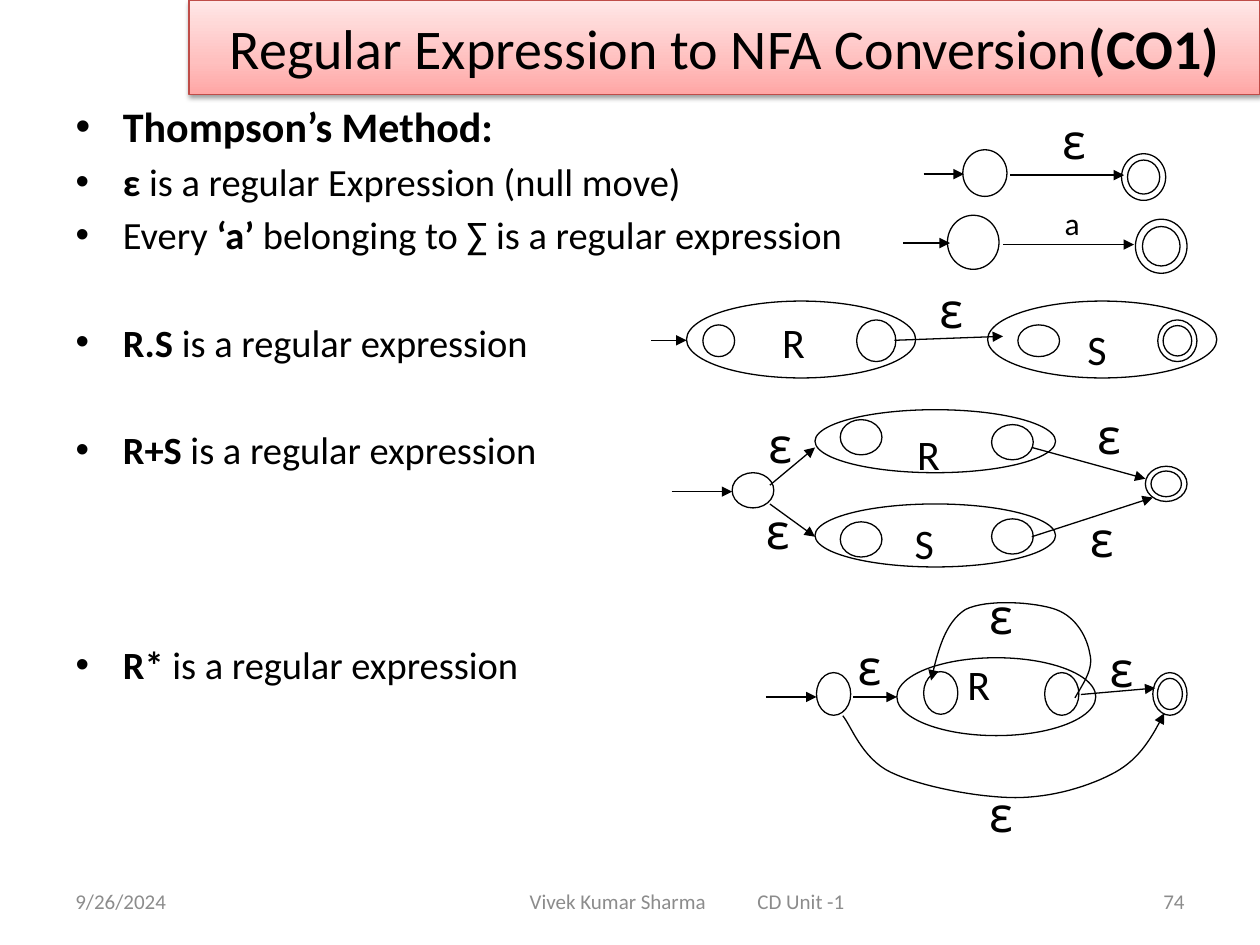
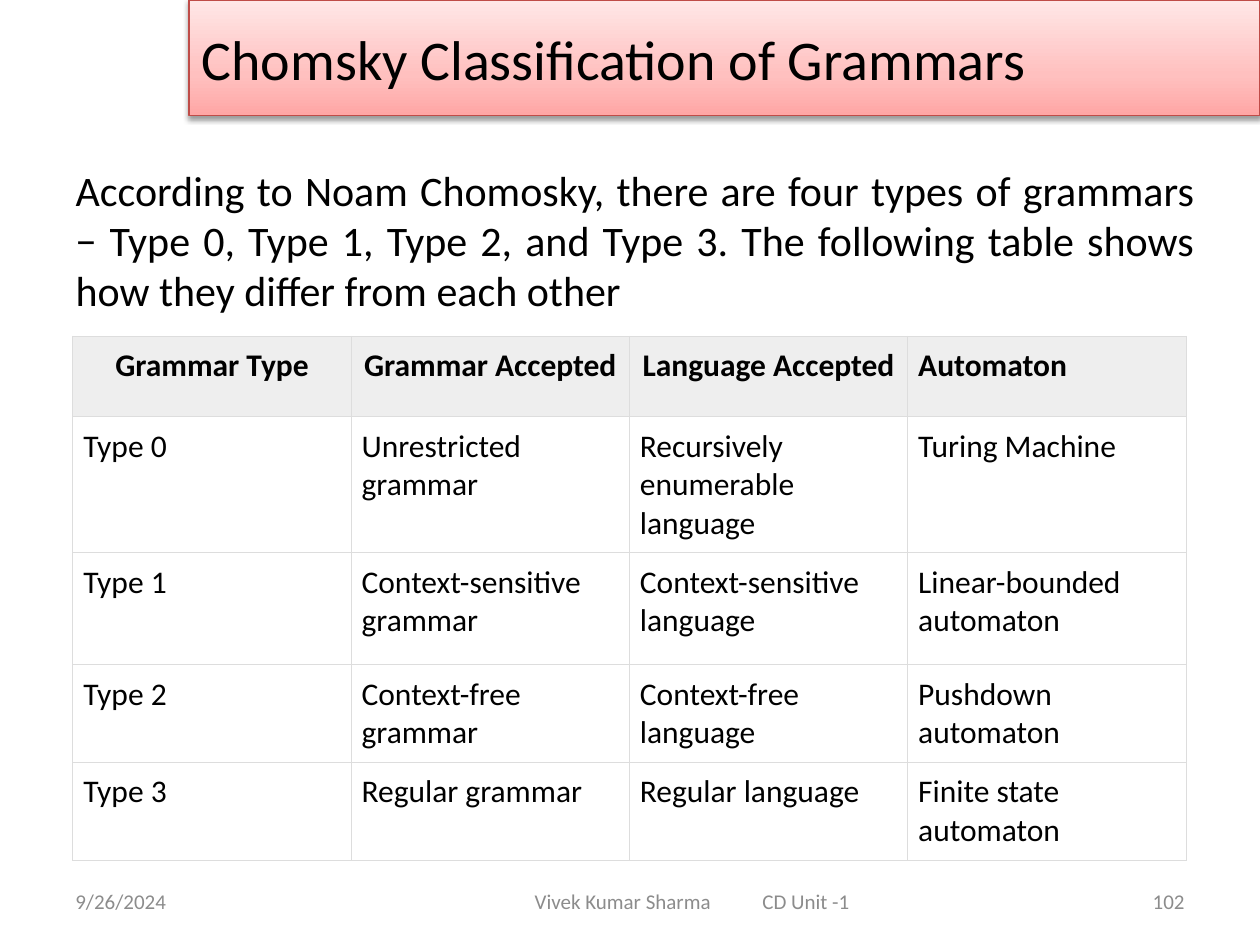
from dataclasses import dataclass

import pptx
import pptx.dml.color
import pptx.enum.shapes
import pptx.enum.text
import pptx.oxml
import pptx.oxml.ns
import pptx.util

Cm, Pt = pptx.util.Cm, pptx.util.Pt
ALIGN = pptx.enum.text.PP_ALIGN
ANCHOR = pptx.enum.text.MSO_ANCHOR
NO_FIT = pptx.enum.text.MSO_AUTO_SIZE.NONE
OVAL = pptx.enum.shapes.MSO_SHAPE.OVAL
STRAIGHT = pptx.enum.shapes.MSO_CONNECTOR.STRAIGHT
NS = 'xmlns:a="http://schemas.openxmlformats.org/drawingml/2006/main"'


@dataclass(frozen=True)
class Theme:
    font: str = "Calibri"
    symbol_font: str = "Comic Neue"
    ink: str = "000000"
    muted: str = "8C8C8C"
    band_line: str = "BF4C48"
    band_stops: tuple = ((0, "FFA6A5"), (35, "FFC0BF"), (100, "FFE7E7"))
    grid: str = "DDDDDD"
    header_fill: str = "EEEEEE"
    title: int = 32
    symbol: int = 28
    lead: int = 24
    body: int = 22
    small: int = 18
    footer: int = 12
    line: float = 0.75


T = Theme()


# --- Text and line helpers ---
def rgb(code):
    return pptx.dml.color.RGBColor.from_string(code)


def xml(text):
    return pptx.oxml.parse_xml(text)


def add_run(p, text, size, bold=False, color=T.ink, font=T.font):
    r = p.add_run()
    r.text = text
    r.font.name, r.font.size, r.font.bold = font, Pt(size), bold
    r.font.color.rgb = rgb(color)


def place(sp, x, y, w, h):
    sp.left, sp.top, sp.width, sp.height = Cm(x), Cm(y), Cm(w), Cm(h)


def outline(sp, color=T.ink):
    sp.line.color.rgb = rgb(color)
    sp.line.width = Pt(T.line)


def add_arrowhead(sp):
    ln = sp._element.spPr.find(pptx.oxml.ns.qn("a:ln"))
    ln.append(xml(f'<a:tailEnd {NS} type="triangle"/>'))


def text_box(slide, x, y, w, h, text, size, align=ALIGN.LEFT,
             anchor=ANCHOR.TOP, wrap=True, **style):
    tf = slide.shapes.add_textbox(Cm(x), Cm(y), Cm(w), Cm(h)).text_frame
    tf.word_wrap, tf.vertical_anchor = wrap, anchor
    p = tf.paragraphs[0]
    p.alignment = align
    add_run(p, text, size, **style)


# --- Shared slide frame ---
def title_band(slide, runs, height, align):
    sp = slide.shapes.title
    place(sp, 3.81, 0, 21.59, height)
    stops = "".join(f'<a:gs pos="{pos * 1000}"><a:srgbClr val="{color}"/></a:gs>'
                    for pos, color in T.band_stops)
    spPr = sp._element.spPr
    spPr.append(xml(f'<a:prstGeom {NS} prst="rect"><a:avLst/></a:prstGeom>'))
    spPr.append(xml(f'<a:gradFill {NS} rotWithShape="1"><a:gsLst>{stops}</a:gsLst>'
                    '<a:lin ang="16200000" scaled="1"/></a:gradFill>'))
    outline(sp, T.band_line)
    spPr.append(xml(
        f'<a:effectLst {NS}><a:outerShdw blurRad="{Pt(3.1)}" dist="{Pt(1.6)}" '
        'dir="5400000" rotWithShape="0"><a:srgbClr val="000000">'
        '<a:alpha val="38000"/></a:srgbClr></a:outerShdw></a:effectLst>'))
    tf = sp.text_frame
    tf.auto_size, tf.vertical_anchor = NO_FIT, ANCHOR.MIDDLE
    p = tf.paragraphs[0]
    p.alignment = align
    for text, bold in runs:
        add_run(p, text, T.title, bold)


def footer(slide, number, center):
    parts = [(1.27, 5.92, "9/26/2024", ALIGN.LEFT),
             (center - 5.39, 6, "Vivek Kumar Sharma", ALIGN.RIGHT),
             (center + 1.15, 3, "CD Unit -1", ALIGN.LEFT),
             (18.21, 5.92, number, ALIGN.RIGHT)]
    for x, w, text, align in parts:
        text_box(slide, x, 17.65, w, 1.02, text, T.footer, align,
                 ANCHOR.MIDDLE, color=T.muted)


def body_frame(slide, x, y, w, h):
    sp = slide.placeholders[1]
    place(sp, x, y, w, h)
    sp.text_frame.auto_size = NO_FIT
    return sp.text_frame


def new_slide(prs, title_runs, band_height, align, number, footer_center):
    slide = prs.slides.add_slide(prs.slide_layouts[1])
    title_band(slide, title_runs, band_height, align)
    footer(slide, number, footer_center)
    return slide


# --- Automaton elements ---
def oval(slide, x, y, w, h):
    sp = slide.shapes.add_shape(OVAL, Cm(x), Cm(y), Cm(w), Cm(h))
    sp.shadow.inherit = False
    sp.fill.background()
    outline(sp)


def states(slide, w, h, *corners):
    for x, y in corners:
        oval(slide, x, y, w, h)


def final_state(slide, x, y, w, h, inner=0.73):
    oval(slide, x, y, w, h)
    margin = (1 - inner) / 2
    oval(slide, x + w * margin, y + h * margin, w * inner, h * inner)


def arrows(slide, *ends):
    for x1, y1, x2, y2 in ends:
        sp = slide.shapes.add_connector(STRAIGHT, Cm(x1), Cm(y1), Cm(x2), Cm(y2))
        outline(sp)
        add_arrowhead(sp)
        sp._element.spPr.append(xml(f"<a:effectLst {NS}/>"))


def curved_arrow(slide, points, steps=16):
    """Follow a chain of cubic Bezier segments that share their end points."""
    track = [points[0]]
    for i in range(0, len(points) - 1, 3):
        for step in range(1, steps + 1):
            t = step / steps
            weights = ((1 - t) ** 3, 3 * t * (1 - t) ** 2, 3 * t * t * (1 - t), t ** 3)
            track.append(tuple(sum(k * pt[axis] for k, pt in zip(weights, points[i:i + 4]))
                               for axis in (0, 1)))
    track = [(Cm(x), Cm(y)) for x, y in track]
    builder = slide.shapes.build_freeform(*track[0])
    builder.add_line_segments(track[1:], close=False)
    sp = builder.convert_to_shape()
    sp.shadow.inherit = False
    sp.fill.background()
    outline(sp)
    add_arrowhead(sp)


def label(slide, text, x, y, size=T.lead, font=T.font):
    text_box(slide, x, y, 0.96, 1.3, text, size, wrap=False, font=font)


def epsilons(slide, *corners):
    for x, y in corners:
        label(slide, "ε", x, y, T.symbol, T.symbol_font)


# --- Automata ---
def draw_null_move(slide):
    arrows(slide, (18.62, 3.51, 19.43, 3.51), (20.37, 3.53, 22.66, 3.53))
    states(slide, 0.89, 0.94, (19.41, 3.02))
    final_state(slide, 22.61, 3.1, 0.89, 0.94)
    epsilons(slide, (21.16, 2.11))


def draw_symbol(slide):
    arrows(slide, (18.21, 4.9, 19.15, 4.9), (20.22, 4.93, 22.86, 4.93))
    states(slide, 1.04, 1.09, (19.1, 4.34))
    final_state(slide, 22.89, 4.42, 1.04, 1.09)
    label(slide, "a", 21.21, 3.99, T.small)


def draw_concatenation(slide):
    states(slide, 4.62, 1.55, (13.84, 6.07), (19.91, 6.07))
    states(slide, 0.64, 0.64, (14.17, 6.55))
    states(slide, 0.79, 0.84, (17.27, 6.45))
    states(slide, 0.84, 0.64, (20.52, 6.55))
    final_state(slide, 23.34, 6.45, 0.79, 0.84)
    arrows(slide, (13.13, 6.86, 13.84, 6.86), (18.03, 6.86, 20.22, 6.78))
    label(slide, "R", 15.52, 6.25)
    label(slide, "S", 21.67, 6.4)
    epsilons(slide, (18.69, 5.51))


def draw_union(slide):
    states(slide, 4.85, 1.27, (16.43, 8.26), (16.43, 10.16))
    states(slide, 0.84, 0.71, (14.76, 9.53), (16.94, 8.46), (19.99, 8.56),
           (16.94, 10.52), (19.99, 10.46))
    final_state(slide, 23.09, 9.4, 0.84, 0.71)
    arrows(slide, (13.54, 9.91, 14.76, 9.91),
           (15.52, 9.78, 16.43, 9.02), (15.52, 10.16, 16.43, 10.82),
           (20.8, 9.02, 23.09, 9.65), (20.8, 10.82, 23.24, 10.03))
    label(slide, "R", 18.24, 8.51)
    label(slide, "S", 18.19, 10.31)
    epsilons(slide, (15.24, 8.23), (15.19, 9.96), (21.87, 8.05), (21.72, 10.13))


def draw_closure(slide):
    states(slide, 4.01, 1.57, (18.08, 13.26))
    states(slide, 0.69, 0.86, (16.46, 13.56), (18.62, 13.54), (21.06, 13.56))
    final_state(slide, 23.24, 13.56, 0.69, 0.86)
    arrows(slide, (15.44, 14.05, 16.46, 14.05), (17.2, 14.05, 18.08, 14.05),
           (21.79, 14, 23.29, 13.87))
    # Bypass below, repeat loop above
    curved_arrow(slide, [(16.99, 14.43), (17.15, 14.61), (17.37, 15.29), (17.96, 15.57),
                         (18.54, 15.85), (19.71, 16.08), (20.47, 16.08),
                         (21.21, 16.08), (21.97, 15.85), (22.48, 15.57),
                         (22.99, 15.29), (23.24, 14.83), (23.47, 14.38)])
    curved_arrow(slide, [(21.67, 14.07), (21.84, 13.77), (22.05, 13.49), (21.97, 13.18),
                         (21.92, 12.88), (21.72, 12.45), (21.29, 12.29),
                         (20.88, 12.14), (19.89, 12.07), (19.46, 12.29),
                         (19.05, 12.55), (18.9, 13.13), (18.77, 13.72)])
    label(slide, "R", 19.25, 13.16)
    epsilons(slide, (17.04, 12.7), (19.69, 11.68), (19.69, 15.67), (22.12, 12.75))


# --- Slides ---
def thompson_slide(prs):
    slide = new_slide(prs, [("Regular Expression to NFA Conversion", False), ("(CO1)", True)],
                      1.9, ALIGN.CENTER, "74", 13.87)
    is_regex = ("is a regular expression", False)
    # Space before in points, then (text, bold) runs
    rules = [(0, [("Thompson’s Method:", True)]),
             (4, [("ε", True), (" is a regular Expression (null move)", False)]),
             (4, [("Every ", False), ("‘a’", True),
                  (" belonging to ∑ is a regular expression", False)]),
             (35, [("R.S ", True), is_regex]),
             (35, [("R+S ", True), is_regex]),
             (96.5, [("R* ", True), is_regex])]
    tf = body_frame(slide, 1.27, 1.9, 23.5, 15.88)
    for i, (gap, runs) in enumerate(rules):
        p = tf.add_paragraph() if i else tf.paragraphs[0]
        p.space_before = Pt(gap)
        for text, bold in runs:
            add_run(p, text, T.body if i else T.lead, bold)
    for draw in (draw_null_move, draw_symbol, draw_concatenation, draw_union, draw_closure):
        draw(slide)


def format_cell(cell, text, header, align):
    cell.margin_left = cell.margin_right = cell.margin_top = cell.margin_bottom = Cm(0.21)
    tcPr = cell._tc.get_or_add_tcPr()
    for side in "LRTB":
        tcPr.append(xml(f'<a:ln{side} {NS} w="{Pt(T.line)}"><a:solidFill>'
                        f'<a:srgbClr val="{T.grid}"/></a:solidFill></a:ln{side}>'))
    if header:
        cell.fill.solid()
        cell.fill.fore_color.rgb = rgb(T.header_fill)
    else:
        cell.fill.background()
    p = cell.text_frame.paragraphs[0]
    p.alignment = align
    add_run(p, text, T.small, header)


def grammar_table(slide, rows, heights, col_width):
    n = len(rows[0])
    table = slide.shapes.add_table(len(rows), n, Cm(1.47), Cm(6.78),
                                   Cm(col_width * n), Cm(sum(heights))).table
    table.first_row = table.horz_banding = False
    for col in table.columns:
        col.width = Cm(col_width)
    for i, (row, height) in enumerate(zip(rows, heights)):
        table.rows[i].height = Cm(height)
        for j, text in enumerate(row):
            align = ALIGN.LEFT
            if i == 0:
                align = ALIGN.CENTER if j < n - 1 else ALIGN.JUSTIFY
            format_cell(table.cell(i, j), text, i == 0, align)


def chomsky_slide(prs):
    slide = new_slide(prs, [("Chomsky Classification of Grammars", False)],
                      2.33, ALIGN.LEFT, "102", 13.97)
    p = body_frame(slide, 1.27, 3.18, 23.07, 14.17).paragraphs[0]
    pPr = p._p.get_or_add_pPr()
    pPr.set("marL", "0")
    pPr.set("indent", "0")
    pPr.append(xml(f"<a:buNone {NS}/>"))
    p.alignment, p.space_before = ALIGN.JUSTIFY, Pt(0)
    add_run(p, "According to Noam Chomosky, there are four types of grammars − Type 0, Type 1, "
               "Type 2, and Type 3. The following table shows how they differ from each other",
            T.lead)
    rows = [("Grammar Type", "Grammar Accepted", "Language Accepted", "Automaton"),
            ("Type 0", "Unrestricted grammar", "Recursively enumerable language",
             "Turing Machine"),
            ("Type 1", "Context-sensitive grammar", "Context-sensitive language",
             "Linear-bounded automaton"),
            ("Type 2", "Context-free grammar", "Context-free language", "Pushdown automaton"),
            ("Type 3", "Regular grammar", "Regular language", "Finite state automaton")]
    grammar_table(slide, rows, (1.62, 2.74, 2.26, 1.97, 1.97), 5.61)


def main():
    prs = pptx.Presentation()
    prs.slide_width, prs.slide_height = Cm(25.4), Cm(19.05)
    thompson_slide(prs)
    chomsky_slide(prs)
    prs.save("out.pptx")


if __name__ == "__main__":
    main()
